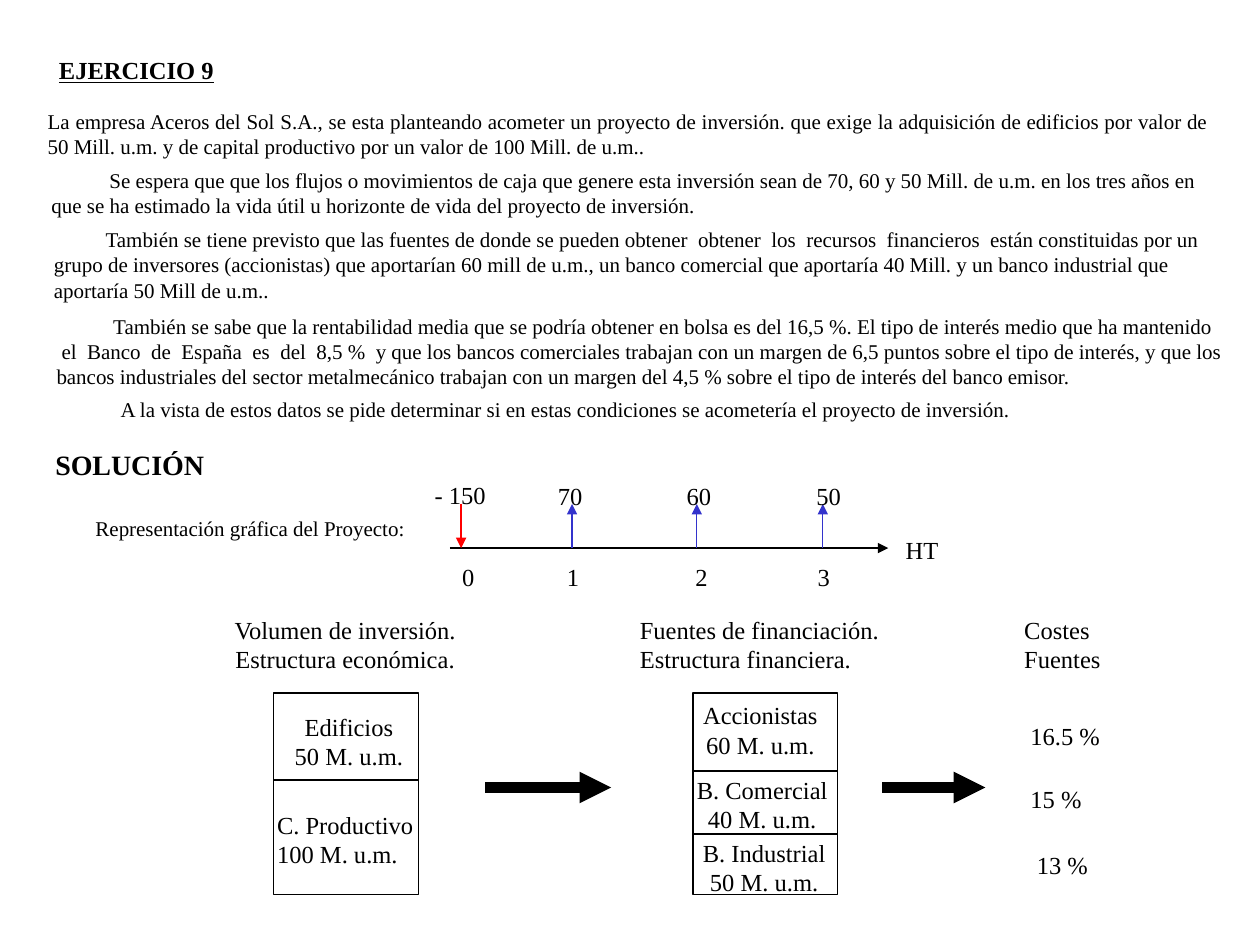
"""Builds the slide of exercise 9: an investment project and its financing."""
from lxml import etree
from pptx import Presentation
from pptx.dml.color import RGBColor
from pptx.enum.shapes import MSO_CONNECTOR as Connector, MSO_SHAPE as Shape
from pptx.enum.text import MSO_AUTO_SIZE as AutoSize, PP_ALIGN as Align
from pptx.oxml.ns import qn
from pptx.util import Inches, Pt


def colour(code):
    return RGBColor.from_string(code)


class Sheet:
    font = "Times New Roman"
    ink = "000000"
    red = "FF0000"
    blue = "3333CC"
    small, normal, large = 12, 14, 16

    def __init__(self, page):
        self.page = page

    def text(self, left, top, width, height, lines, size=normal, align=Align.LEFT,
             wrap=False, indents=(), tabs=(), bold=False, underline=False):
        box = self.page.shapes.add_textbox(*map(Inches, (left, top, width, height)))
        frame = box.text_frame
        frame.word_wrap = wrap
        frame.auto_size = AutoSize.SHAPE_TO_FIT_TEXT
        for index, line in enumerate(lines):
            para = frame.add_paragraph() if index else frame.paragraphs[0]
            para.alignment = align
            properties = para._p.get_or_add_pPr()
            if index < len(indents):
                properties.set("marL", str(Inches(indents[index])))
                properties.set("indent", "0")
            if tabs:
                stops = etree.SubElement(properties, qn("a:tabLst"))
                for tab in tabs:
                    etree.SubElement(stops, qn("a:tab"), pos=str(Inches(tab)), algn="l")
            span = para.add_run()
            span.text = line
            span.font.name = self.font
            span.font.size = Pt(size)
            span.font.bold = bold
            span.font.underline = underline
            span.font.color.rgb = colour(self.ink)

    def line(self, start, end, weight=0.75, code=ink, arrow=False):
        connector = self.page.shapes.add_connector(
            Connector.STRAIGHT, *map(Inches, (*start, *end)))
        connector.line.color.rgb = colour(code)
        connector.line.width = Pt(weight)
        if arrow:
            etree.SubElement(connector.line._get_or_add_ln(), qn("a:tailEnd"), type="triangle")
        etree.SubElement(connector._element.spPr, qn("a:effectLst"))

    def stack(self, left, top, width, height, dividers):
        frame = self.page.shapes.add_shape(
            Shape.RECTANGLE, *map(Inches, (left, top, width, height)))
        frame.shadow.inherit = False
        frame.fill.background()
        frame.line.color.rgb = colour(self.ink)
        frame.line.width = Pt(0.75)
        for divider in dividers:
            self.line((left, divider), (left + width, divider))


def add_statement(sheet):
    sheet.text(0.37, 0.39, 1.47, 0.34, ["EJERCICIO 9"], bold=True, underline=True)
    sheet.text(0.28, 0.81, 9.42, 0.5, [
        "La empresa Aceros del Sol S.A., se esta planteando acometer un proyecto de inversión. "
        "que exige la adquisición de edificios por valor de 50 Mill. u.m. y de capital "
        "productivo por un valor de 100 Mill. de u.m.."],
        sheet.small, Align.JUSTIFY, wrap=True)
    sheet.text(0.27, 1.28, 9.41, 0.5, [
        "Se espera que que los flujos o movimientos de caja que genere esta inversión sean de "
        "70, 60 y 50 Mill. de u.m. en los tres años en",
        "que se ha estimado la vida útil u horizonte de vida del proyecto de inversión."],
        sheet.small, wrap=True, indents=(0.5, 0.04))
    sheet.text(0.33, 1.75, 9.4, 0.7, [
        "También se tiene previsto que las fuentes de donde se pueden obtener  obtener  los  "
        "recursos  financieros  están constituidas por un",
        "grupo de inversores (accionistas) que aportarían 60 mill de u.m., un banco comercial "
        "que aportaría 40 Mill. y un banco industrial que",
        "aportaría 50 Mill de u.m.."],
        sheet.small, wrap=True, indents=(0.41,))
    sheet.text(0.35, 2.44, 9.65, 0.7, [
        "También se sabe que la rentabilidad media que se podría obtener en bolsa es del 16,5 %. "
        "El tipo de interés medio que ha mantenido",
        "el  Banco  de  España  es  del  8,5 %  y que los bancos comerciales trabajan con un "
        "margen de 6,5 puntos sobre el tipo de interés, y que los",
        "bancos industriales del sector metalmecánico trabajan con un margen del 4,5 % sobre "
        "el tipo de interés del banco emisor."],
        sheet.small, wrap=True, indents=(0.45, 0.04))
    sheet.text(0.86, 3.1, 7.31, 0.3, [
        "A la vista de estos datos se pide determinar si en estas condiciones se acometería "
        "el proyecto de inversión."], sheet.small)


def add_timeline(sheet):
    sheet.text(0.34, 3.5, 1.42, 0.37, ["SOLUCIÓN"], sheet.large, bold=True)
    sheet.text(0.66, 4.04, 2.7, 0.3, ["Representación gráfica del Proyecto:"], sheet.small)
    axis = 4.35
    sheet.line((3.57, axis), (7.05, axis), 1.5, arrow=True)
    sheet.text(7.09, 4.2, 0.5, 0.34, ["HT"])
    sheet.line((3.66, 4), (3.66, axis), 1, sheet.red, arrow=True)
    for year in (4.54, 5.53, 6.53):
        sheet.line((year, axis), (year, 4), code=sheet.blue, arrow=True)
    sheet.text(3.57, 4.41, 3.81, 0.34, ["0\t1\t2\t3"], wrap=True, tabs=(0.83, 1.85, 2.82))
    sheet.text(3.35, 3.76, 0.65, 0.34, ["- 150"])
    sheet.text(4.33, 3.77, 2.75, 0.29, ["70\t60\t50"], wrap=True, tabs=(1.02, 2.05))


def add_structure(sheet):
    heading, height = 4.83, 0.57
    sheet.text(1.73, heading, 2.02, height,
               ["Volumen de inversión.", "Estructura económica."], align=Align.CENTER)
    sheet.text(4.98, heading, 2.14, height,
               ["Fuentes de financiación.", "Estructura financiera."])
    sheet.text(8.03, heading, 0.85, height, ["Costes", "Fuentes"])

    sheet.stack(2.17, 5.5, 1.15, 1.6, [6.19])
    sheet.stack(5.5, 5.5, 1.15, 1.6, [6.12, 6.62])
    for left, top, width, name, amount, align in (
            (2.22, 5.6, 1.1, "Edificios", "50 M. u.m.", Align.CENTER),
            (2.1, 6.38, 1.32, "C. Productivo", "100 M. u.m.", Align.LEFT),
            (5.46, 5.51, 1.15, "Accionistas", "60 M. u.m.", Align.CENTER),
            (5.4, 6.1, 1.3, "B. Comercial", "40 M. u.m.", Align.CENTER),
            (5.46, 6.6, 1.21, "B. Industrial", "50 M. u.m.", Align.CENTER)):
        sheet.text(left, top, width, height, [name, amount], align=align)

    for start, end in ((3.85, 4.85), (7, 7.82)):
        sheet.line((start, 6.25), (end, 6.25), 6, arrow=True)
    for left, top, width, cost in ((8.08, 5.67, 0.8, "16.5 %"),
                                   (8.08, 6.17, 0.65, "15 %"),
                                   (8.13, 6.7, 0.65, "13 %")):
        sheet.text(left, top, width, 0.34, [cost])


def main():
    deck = Presentation()
    deck.slide_width, deck.slide_height = Inches(10), Inches(7.5)
    sheet = Sheet(deck.slides.add_slide(deck.slide_layouts[6]))
    add_statement(sheet)
    add_timeline(sheet)
    add_structure(sheet)
    deck.save("out.pptx")


if __name__ == "__main__":
    main()
